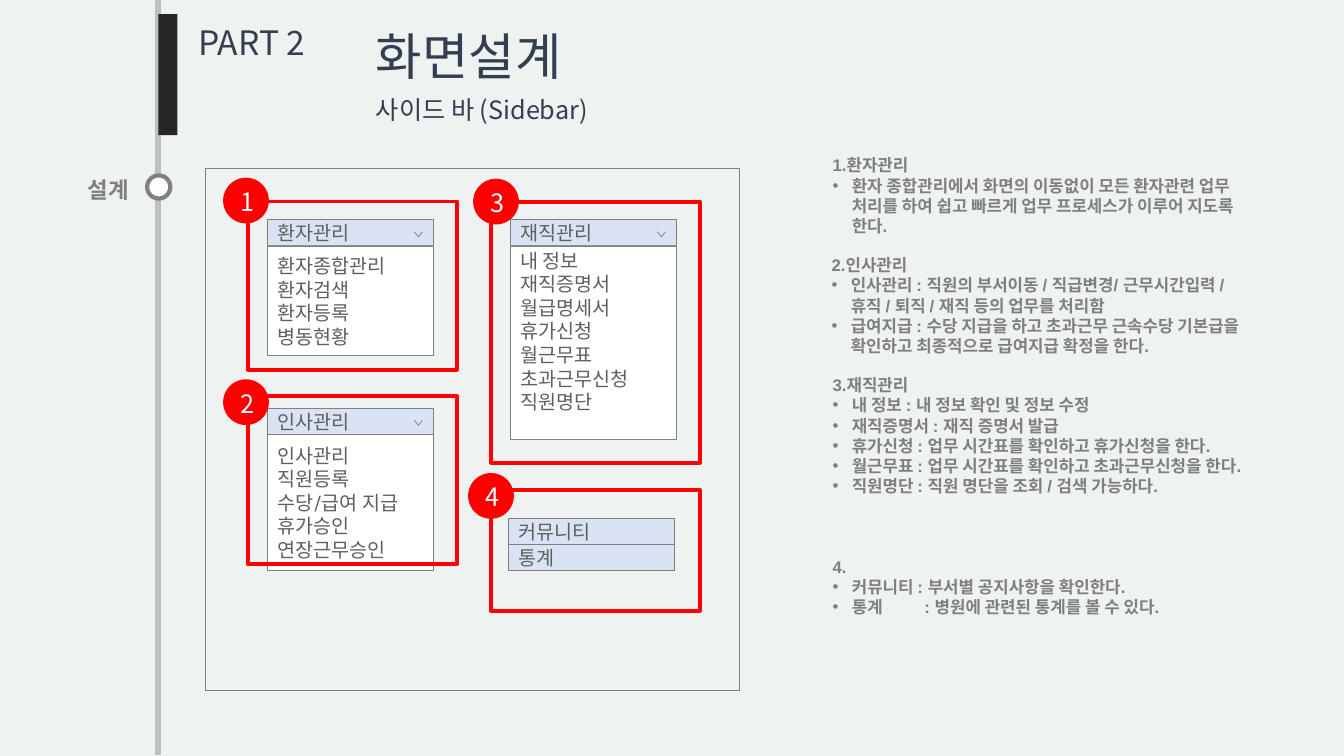
from lxml.etree import SubElement
from pptx import Presentation
from pptx.dml.color import RGBColor
from pptx.enum.shapes import MSO_CONNECTOR, MSO_SHAPE
from pptx.enum.text import MSO_ANCHOR, PP_ALIGN
from pptx.oxml.ns import qn
from pptx.util import Pt

UNIT = 9144
SANS = "Noto Sans CJK KR"
NAVY, GRAY, EDGE, RED, WHITE = "333F50", "7F7F7F", "808080", "FF0000", "FFFFFF"


def px(n):
    return round(n * UNIT)


def tint(code):
    return RGBColor.from_string(code)


class Sheet:
    """Draws styled elements on one slide, with lengths in px (100 to the inch)."""

    def __init__(self, slide):
        self.slide = slide
        self.shapes = slide.shapes

    def paint(self, shape, fill=None, line=None, width=0.5):
        shape.shadow.inherit = False
        if fill:
            shape.fill.solid()
            shape.fill.fore_color.rgb = tint(fill)
        else:
            shape.fill.background()
        if line:
            shape.line.color.rgb = tint(line)
            shape.line.width = Pt(width)
        else:
            shape.line.fill.background()
        return shape

    def shape(self, box, fill=None, line=None, width=0.5, kind=MSO_SHAPE.RECTANGLE):
        item = self.shapes.add_shape(kind, *map(px, box))
        return self.paint(item, fill, line, width)

    def rule(self, x, top, end, color, width):
        line = self.shapes.add_connector(MSO_CONNECTOR.STRAIGHT, px(x), px(top), px(x), px(end))
        line.line.color.rgb = tint(color)
        line.line.width = Pt(width)
        SubElement(line._element.spPr, qn("a:effectLst"))

    def caret(self, x, y):
        pen = self.shapes.build_freeform(x, y, scale=UNIT)
        pen.add_line_segments([(x + 4, y + 5), (x + 8, y)], close=False)
        self.paint(pen.convert_to_shape(), line=EDGE)

    def add_run(self, para, text, size, color, font=SANS, bold=False, lead=1.27):
        para.line_spacing = Pt(round(size * lead, 2))
        run = para.add_run()
        run.text = text
        run.font.name, run.font.size, run.font.bold = font, Pt(size), bold
        run.font.color.rgb = tint(color)
        SubElement(run._r.get_or_add_rPr(), qn("a:ea"), typeface=SANS)

    def add_lines(self, frame, lines, *style, align=PP_ALIGN.LEFT, **more):
        for i, text in enumerate(lines):
            para = frame.add_paragraph() if i else frame.paragraphs[0]
            para.alignment = align
            self.add_run(para, text, *style, **more)

    def label(self, box, text, size, color=NAVY, wrap=False, **more):
        frame = self.shapes.add_textbox(*map(px, box)).text_frame
        frame.word_wrap = wrap
        self.add_lines(frame, [text], size, color, **more)

    def note(self, box, head, points):
        frame = self.shapes.add_textbox(*map(px, box)).text_frame
        frame.word_wrap = True
        self.add_lines(frame, [head, *points], 12, GRAY, "Arial", True, 1.2)
        for para in frame.paragraphs[1:]:
            prop = para._p.get_or_add_pPr()
            prop.set("marL", str(px(19)))
            prop.set("indent", str(px(-19)))
            SubElement(prop, qn("a:buFont"), typeface="Arial")
            SubElement(prop, qn("a:buChar"), char="•")
            tabs = SubElement(prop, qn("a:tabLst"))
            SubElement(tabs, qn("a:tab"), pos=str(px(91)), algn="l")

    def panel(self, box, lines, fill, right=10, low=5):
        frame = self.shape(box, fill, EDGE).text_frame
        frame.word_wrap = True
        frame.vertical_anchor = MSO_ANCHOR.MIDDLE
        frame.margin_right, frame.margin_bottom = px(right), px(low)
        self.add_lines(frame, lines, 14, "5F5F5F", "Karla", lead=1.2)

    def head(self, x, y, text):
        self.panel((x, y, 165, 26), [text], "DAE3F3", right=25)

    def menu(self, x, y, title, items, high, low=5):
        self.head(x, y, title)
        self.caret(x + 146, y + 12)
        self.panel((x, y + 26, 165, high), items, WHITE, low=low)

    def badge(self, x, y, text):
        frame = self.shape((x, y, 44, 44), RED, RED, 1, MSO_SHAPE.OVAL).text_frame
        frame.vertical_anchor = MSO_ANCHOR.MIDDLE
        self.add_lines(frame, [text], 18, WHITE, align=PP_ALIGN.CENTER)


def main():
    deck = Presentation()
    deck.slide_width, deck.slide_height = px(1333), px(750)
    page = Sheet(deck.slides.add_slide(deck.slide_layouts[6]))
    back = page.slide.background.fill
    back.solid()
    back.fore_color.rgb = tint("EEF2F0")

    page.rule(157, 0, 749, "BFBFBF", 4.5)
    page.label((75, 168, 65, 37), "설계", 16, GRAY, bold=True, align=PP_ALIGN.CENTER)
    page.shape((157, 14, 19, 120), "262626")
    page.label((187, 14, 127, 50), "PART 2", 24)
    page.label((363, 16, 222, 71), "화면설계", 36)
    page.label((363, 87, 431, 40), "사이드 바 (Sidebar)", 18, wrap=True)
    page.shape((146, 174, 23, 23), WHITE, EDGE, 3, MSO_SHAPE.OVAL)

    menus = [
        (265, 405, "인사관리",
         ["인사관리", "직원등록", "수당/급여 지급", "휴가승인", "연장근무승인"], 135),
        (265, 218, "환자관리", ["환자종합관리", "환자검색", "환자등록", "병동현황"], 109),
        (506, 218, "재직관리",
         ["내 정보", "재직증명서", "월급명세서", "휴가신청", "월근무표", "초과근무신청", "직원명단"],
         192, 28),
    ]
    for menu in menus:
        page.menu(*menu)
    for i, text in enumerate(["커뮤니티", "통계"]):
        page.head(504, 514 + 26 * i, text)

    marks = [
        ((246, 200, 207, 167), (222, 177)),
        ((246, 393, 207, 167), (222, 377)),
        ((487, 200, 207, 259), (470, 178)),
        ((487, 486, 207, 120), (465, 470)),
    ]
    for i, (box, spot) in enumerate(marks, 1):
        page.shape(box, line=RED, width=2.75)
        page.badge(*spot, str(i))

    notes = [
        ((816, 149, 440, 91), "1.환자관리",
         ["환자 종합관리에서 화면의 이동없이 모든 환자관련 업무 처리를 하여 쉽고 빠르게 "
          "업무 프로세스가 이루어 지도록 한다."]),
        ((815, 248, 440, 111), "2.인사관리",
         ["인사관리 : 직원의 부서이동 / 직급변경/ 근무시간입력 / 휴직 / 퇴직 / 재직 등의 업무를 처리함",
          "급여지급 : 수당 지급을 하고 초과근무 근속수당 기본급을 확인하고 최종적으로 급여지급 확정을 한다."]),
        ((816, 367, 440, 151), "3.재직관리",
         ["내 정보 : 내 정보 확인 및 정보 수정",
          "재직증명서 : 재직 증명서 발급",
          "휴가신청 : 업무 시간표를 확인하고 휴가신청을 한다.",
          "월근무표 : 업무 시간표를 확인하고 초과근무신청을 한다.",
          "직원명단 : 직원 명단을 조회 / 검색 가능하다."]),
        ((816, 547, 429, 71), "4.",
         ["커뮤니티 : 부서별 공지사항을 확인한다.",
          "통계\t: 병원에 관련된 통계를 볼 수 있다."]),
    ]
    for entry in notes:
        page.note(*entry)
    page.shape((204, 167, 529, 518), line=EDGE)
    deck.save("out.pptx")


if __name__ == "__main__":
    main()
